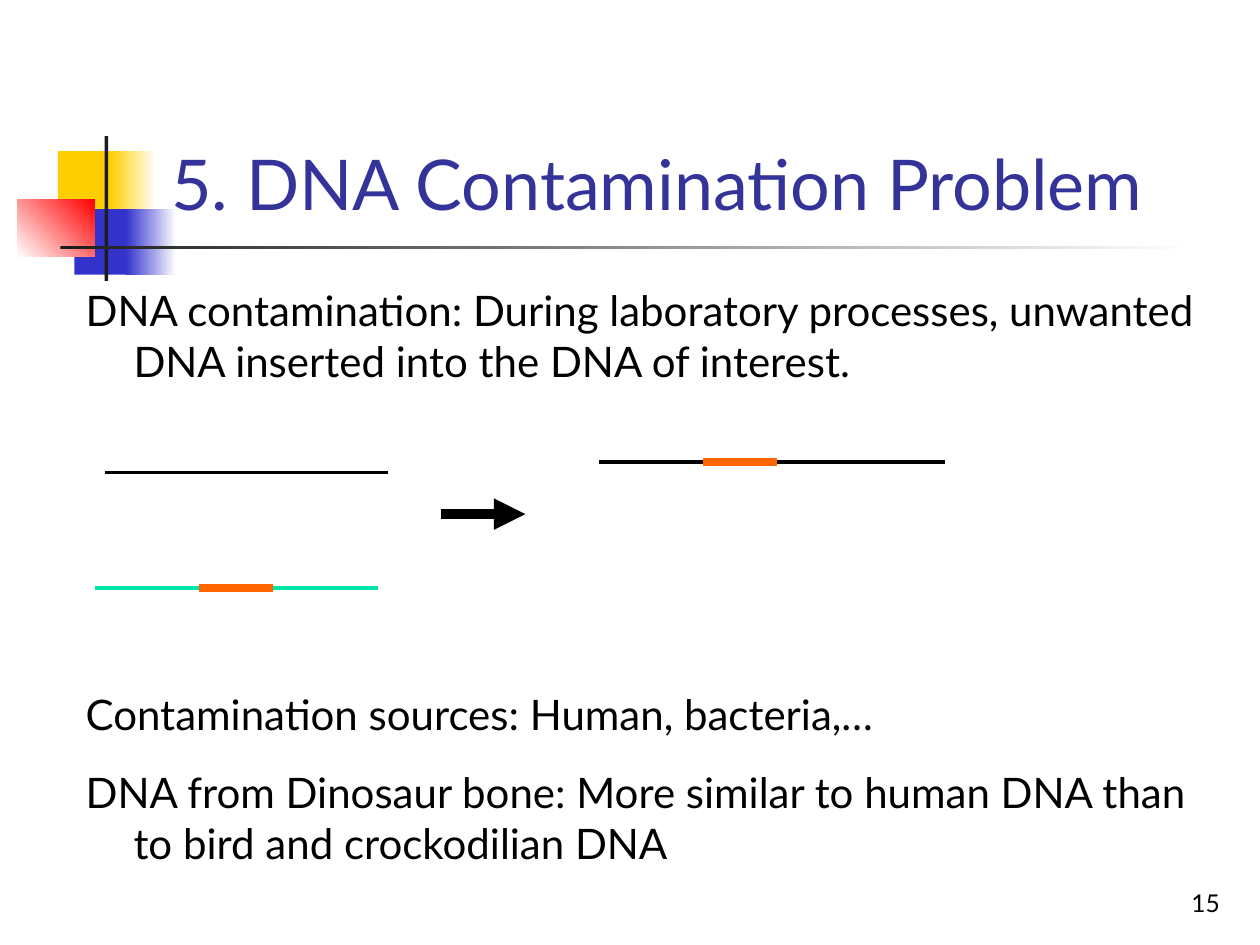
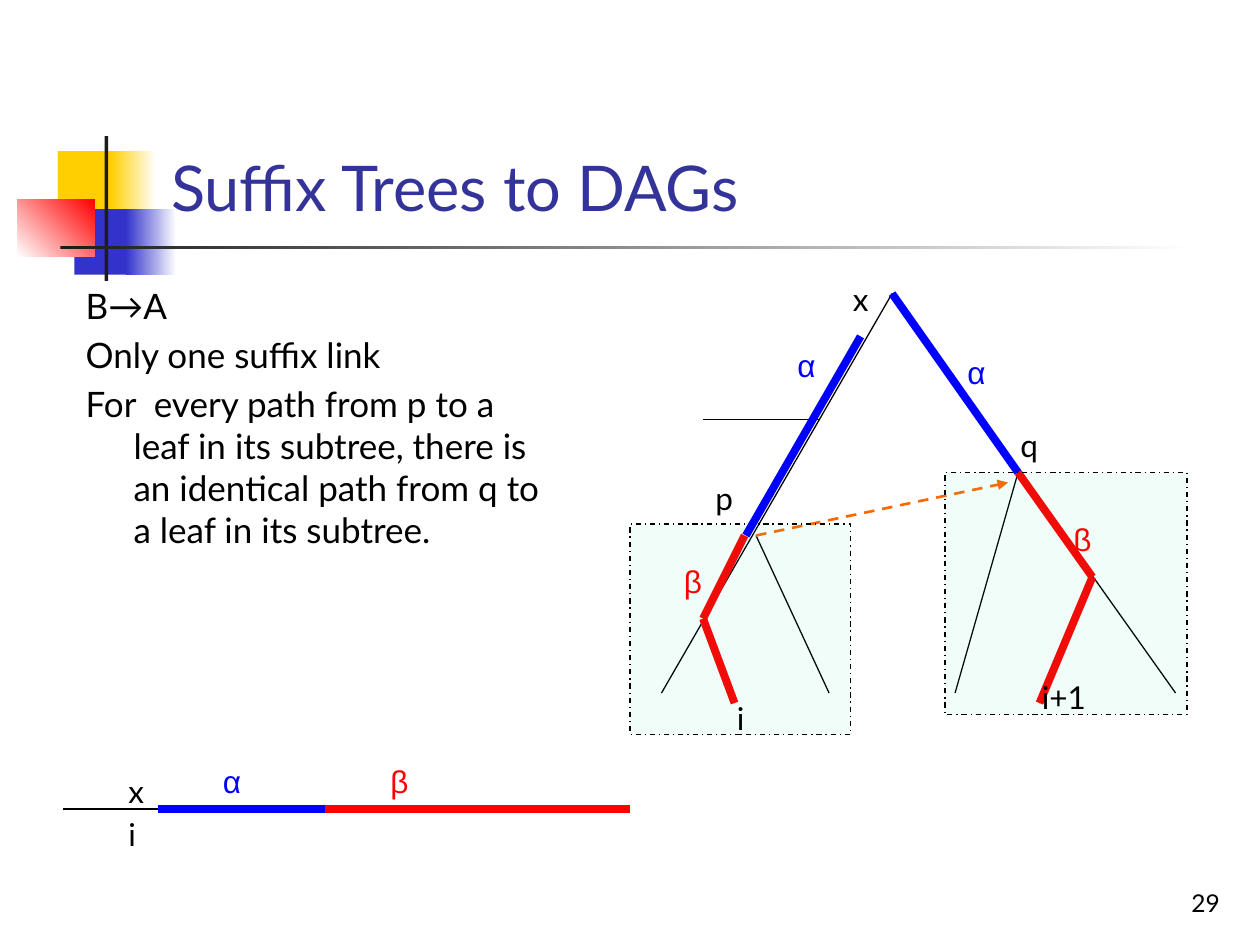
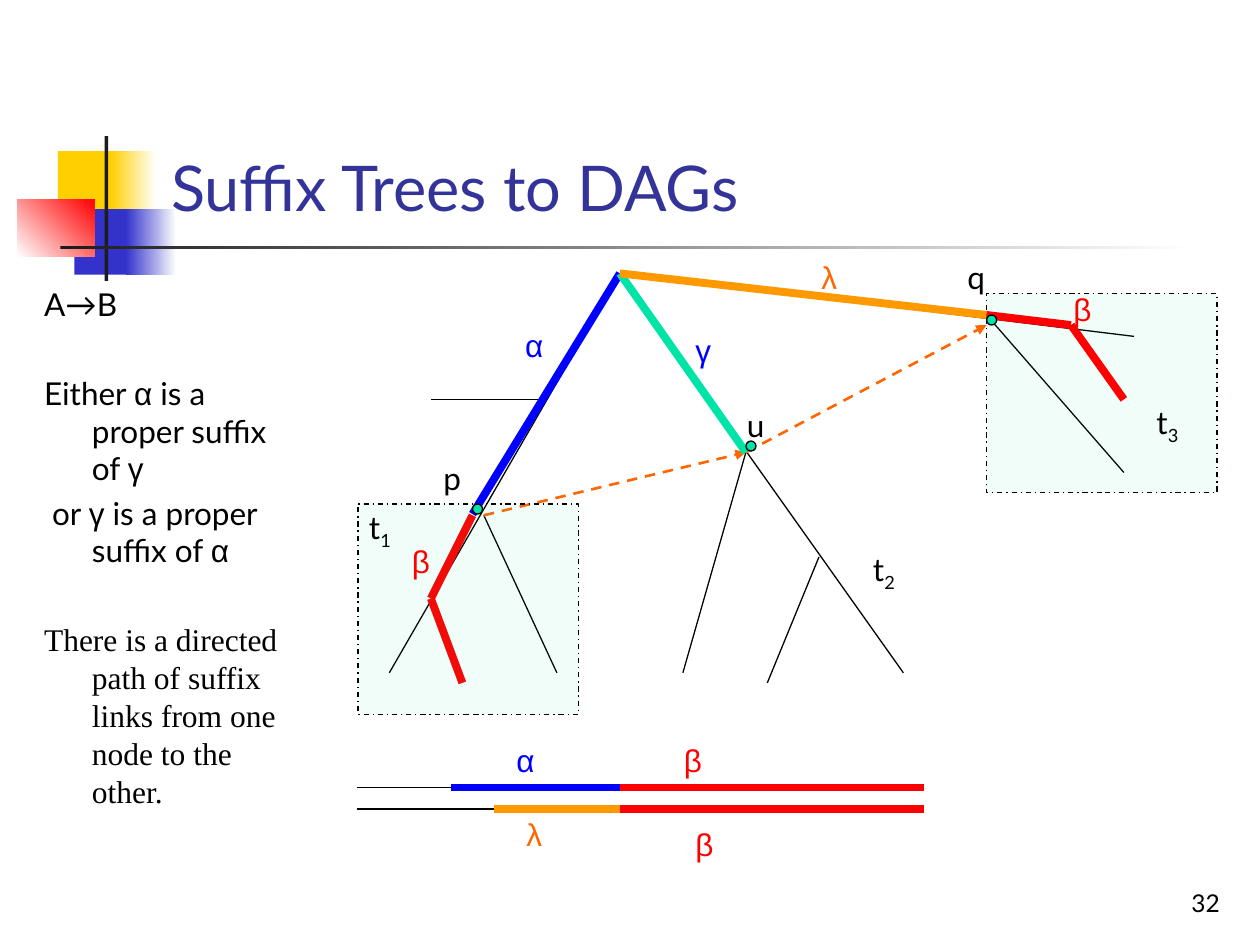
"""Build three slides about DNA contamination and suffix trees."""
from itertools import groupby

from lxml import etree
from pptx import Presentation
from pptx.dml.color import RGBColor
from pptx.enum.dml import MSO_LINE
from pptx.enum.shapes import MSO_CONNECTOR, MSO_SHAPE
from pptx.enum.text import MSO_ANCHOR, MSO_AUTO_SIZE, PP_ALIGN
from pptx.oxml.ns import qn
from pptx.util import Inches, Pt

RECTANGLE, OVAL = MSO_SHAPE.RECTANGLE, MSO_SHAPE.OVAL
STRAIGHT = MSO_CONNECTOR.STRAIGHT
DASH, DASH_DOT = MSO_LINE.DASH, MSO_LINE.DASH_DOT
LEFT, RIGHT = PP_ALIGN.LEFT, PP_ALIGN.RIGHT
TOP, BOTTOM = MSO_ANCHOR.TOP, MSO_ANCHOR.BOTTOM
FIXED, GROW = MSO_AUTO_SIZE.NONE, MSO_AUTO_SIZE.SHAPE_TO_FIT_TEXT

BLACK, WHITE, INK = "000000", "FFFFFF", "1C1C1C"
TITLE_BLUE, BLUE, RED = "333399", "0000FF", "FF0000"
MINT, ORANGE, AMBER = "00E4A8", "FF6600", "FF9900"
YELLOW, INDIGO = "FFCF01", "3333CC"
FONT, GREEK_FONT, SERIF = "Lato", "Arial", "Times New Roman"
THIN, MEDIUM, BOLD = 0.75, 2.25, 4.5
LABEL_WIDTHS = {"α": 0.36, "γ": 0.3, "x": 0.32, "i": 0.26, "i+1": 0.58}

MASTER_BANDS = [
    ((0.46, 1.2, 0.48, 0.52), YELLOW, None, 0),
    ((0.88, 1.2, 0.36, 0.52), YELLOW, WHITE, 0),
    ((0.59, 1.66, 0.46, 0.52), INDIGO, None, 0),
    ((1, 1.66, 0.4, 0.52), INDIGO, WHITE, 0),
    ((0.14, 1.58, 0.61, 0.46), WHITE, RED, 45),
    ((0.83, 1.08, 0.03, 1.15), INK, None, 0),
    ((0.48, 1.95, 9, 0.03), INK, WHITE, 0),
]

PAGES = [
    {"number": "15", "title": "5. DNA Contamination Problem", "title_size": 40,
     "body_box": (0.58, 2.21, 9.21, 4.5), "size": 24,
     "body": [
         ("DNA contamination: During laboratory processes, unwanted DNA "
          "inserted into the DNA of interest.", FONT, 4.8),
         ("Contamination sources: Human, bacteria,…", FONT, 173),
         ("DNA from Dinosaur bone: More similar to human DNA than to bird "
          "and crockodilian DNA", FONT, 16)]},
    {"number": "29", "title": "Suffix Trees to DAGs", "title_size": 36,
     "body_box": (0.58, 2.21, 3.83, 4.5), "size": 20,
     "body": [
         ("B→A", FONT, 4),
         ("Only one suffix link", FONT, 4),
         ("For  every path from p to a leaf in its subtree, there is an "
          "identical path from q to a leaf in its subtree.", FONT, 4)]},
    {"number": "32", "title": "Suffix Trees to DAGs", "title_size": 36,
     "body_box": (0.25, 2.21, 2.17, 4.5), "size": 18,
     "body": [
         ("A→B", FONT, 3.6),
         ("Either α is a proper suffix of γ", FONT, 29.3),
         (" or γ is a proper suffix of α", FONT, 3.6),
         ("There is a directed path of suffix links from one node to the "
          "other.", SERIF, 29.3)]},
]

DNA_STRANDS = [
    ((0.83, 3.75), (3.08, 3.75), BLACK, MEDIUM),
    ((0.75, 4.67), (3, 4.67), MINT, MEDIUM),
    ((1.58, 4.67), (2.17, 4.67), ORANGE, BOLD),
    ((4.75, 3.67), (7.5, 3.67), BLACK, MEDIUM),
    ((5.58, 3.67), (6.17, 3.67), ORANGE, BOLD),
]

# Tree parts are measured from the root of the tree.
TREE_EDGES = [
    ((0, 0), (-1.83, 3.17)), ((0, 0), (2.25, 3.17)),
    ((-0.58, 1), (-1.5, 1)), ((-1.08, 1.92), (-0.5, 3.17)),
    ((1, 1.42), (0.5, 3.17)), ((1.58, 2.25), (1.17, 3.25)),
]
LEFT_BETA = [(-1.17, 1.92), (-1.5, 2.58), (-1.25, 3.25)]
TREE_LABELS = [("p", -1.5, 1.42, BLACK), ("α", -0.85, 0.37, BLUE),
               ("β", -1.75, 2.08, RED)]
LEFT_SUBTREE = (-2.08, 1.83, 1.75, 1.67)
P_NODE, MIDDLE_NODE = (-1.08, 1.92), (1, 1.42)

ROOT_B, ROOT_A = (7.08, 2.33), (4.92, 2.17)
LABELS_B = [
    ("q", 8, 3.33, BLACK), ("x", 6.67, 2.17, BLACK), ("α", 7.58, 2.75, BLUE),
    ("β", 8.42, 4.08, RED), ("i", 5.75, 5.5, BLACK), ("i+1", 8.17, 5.33, BLACK),
    ("x", 0.92, 6.08, BLACK), ("α", 1.67, 6, BLUE), ("β", 3, 6, RED),
    ("i", 0.92, 6.42, BLACK),
]
LABELS_A = [
    ("q", 7.58, 2, BLACK), ("γ", 5.42, 2.58, BLUE), ("t_1", 2.83, 3.98, BLACK),
    ("u", 5.83, 3.17, BLACK), ("t_2", 6.83, 4.32, BLACK),
    ("t_3", 9.08, 3.15, BLACK), ("λ", 6.42, 2, ORANGE), ("β", 8.42, 2.25, RED),
    ("α", 4, 5.83, BLUE), ("β", 5.33, 5.83, RED), ("λ", 4.08, 6.42, ORANGE),
    ("β", 5.42, 6.5, RED),
]
Q_EDGES = [(ROOT_A, (9, 2.67)), ((7.83, 2.5), (8.92, 3.75))]
Q_BETA = [(7.83, 2.5), (8.5, 2.58), (8.92, 3.17)]
NODES_A = [(3.75, 4), (7.83, 2.5), (5.92, 3.5)]


def rgb(value):
    return RGBColor.from_string(value)


def shift(point, origin):
    return tuple(round(a + b, 2) for a, b in zip(point, origin))


def add_block(slide, kind, box, color, line=False):
    shape = slide.shapes.add_shape(kind, *map(Inches, box))
    shape.shadow.inherit = False
    shape.fill.solid()
    shape.fill.fore_color.rgb = rgb(color)
    if line:
        shape.line.color.rgb = rgb(BLACK)
        shape.line.width = Pt(THIN)
    else:
        shape.line.fill.background()
    return shape


def add_subtree(slide, box):
    shape = add_block(slide, RECTANGLE, box, MINT, line=True)
    shape.line.dash_style = DASH_DOT
    color = shape.element.spPr.find(qn("a:solidFill")).find(qn("a:srgbClr"))
    etree.SubElement(color, qn("a:alpha"), val="6000")


def add_line(slide, start, end, color=BLACK, width=THIN, dash=None, arrow=False):
    line = slide.shapes.add_connector(STRAIGHT, *map(Inches, (*start, *end)))
    line.line.color.rgb = rgb(color)
    line.line.width = Pt(width)
    if dash:
        line.line.dash_style = dash
    properties = line.element.spPr
    if arrow:
        etree.SubElement(properties.find(qn("a:ln")), qn("a:tailEnd"), type="triangle")
    etree.SubElement(properties, qn("a:effectLst"))


def add_chain(slide, points, color):
    for start, end in zip(points, points[1:]):
        add_line(slide, start, end, color, BOLD)


def add_suffix_link(slide, start, end):
    add_line(slide, start, end, ORANGE, 1.5, DASH, True)


def add_strip(slide, y, left, start, middle, right, color):
    add_line(slide, (left, y), (right, y))
    add_line(slide, (start, y), (middle, y), color, BOLD)
    add_line(slide, (middle, y), (right, y), RED, BOLD)


def is_greek(character):
    return "α" <= character <= "ω"


def write(paragraph, text, size, color=BLACK, font=FONT):
    paragraph.font.size = Pt(size)
    paragraph.font.name = font
    paragraph.font.color.rgb = rgb(color)
    for greek, characters in groupby(text, is_greek):
        run = paragraph.add_run()
        run.text = "".join(characters)
        run.font.size = Pt(size)
        run.font.name = GREEK_FONT if greek else font
        run.font.color.rgb = rgb(color)


def add_label(slide, text, x, y, color):
    base, _, subscript = text.partition("_")
    width = 0.51 if subscript else LABEL_WIDTHS.get(text, 0.34)
    frame = slide.shapes.add_textbox(*map(Inches, (x, y, width, 0.4))).text_frame
    frame.word_wrap = False
    frame.auto_size = GROW
    paragraph = frame.paragraphs[0]
    write(paragraph, base, 18, color)
    if subscript:
        write(paragraph, subscript, 18, color)
        paragraph.runs[-1].font._element.set("baseline", "-25000")


def place(shape, box, anchor):
    shape.left, shape.top, shape.width, shape.height = map(Inches, box)
    frame = shape.text_frame
    frame.word_wrap = True
    frame.auto_size = FIXED
    frame.vertical_anchor = anchor
    return frame


def add_page(presentation, page):
    slide = presentation.slides.add_slide(presentation.slide_layouts[1])
    number = slide.shapes.add_textbox(0, 0, 0, 0)
    paragraph = place(number, (7.7, 6.83, 2.08, 0.5), BOTTOM).paragraphs[0]
    paragraph.alignment = RIGHT
    write(paragraph, page["number"], 14)
    title = place(slide.shapes.title, (1.26, 0.23, 8.52, 1.6), BOTTOM).paragraphs[0]
    title.alignment = LEFT
    write(title, page["title"], page["title_size"], TITLE_BLUE)
    frame = place(slide.placeholders[1], page["body_box"], TOP)
    for index, (text, font, gap) in enumerate(page["body"]):
        paragraph = frame.add_paragraph() if index else frame.paragraphs[0]
        paragraph.space_before = Pt(gap)
        write(paragraph, text, page["size"], font=font)
        properties = paragraph._p.get_or_add_pPr()
        properties.set("marL", str(Inches(0.38)))
        properties.set("indent", str(-Inches(0.38)))
        bullet = etree.Element(qn("a:buNone"))
        properties.find(qn("a:spcBef")).addnext(bullet)
    return slide


def add_master_bands(presentation, slide):
    for box, color, end_color, angle in MASTER_BANDS:
        shape = add_block(slide, RECTANGLE, box, color)
        if end_color:
            shape.fill.gradient()
            shape.fill.gradient_angle = angle
            for stop, value in zip(shape.fill.gradient_stops, (color, end_color)):
                stop.color.rgb = rgb(value)
        presentation.slide_master.shapes.element.append(shape.element)


def add_tree(slide, root, link_end):
    for start, end in TREE_EDGES:
        add_line(slide, shift(start, root), shift(end, root))
    add_suffix_link(slide, shift(P_NODE, root), link_end)
    add_chain(slide, [shift(point, root) for point in LEFT_BETA], RED)
    add_subtree(slide, (*shift(LEFT_SUBTREE[:2], root), *LEFT_SUBTREE[2:]))
    for text, x, y, color in TREE_LABELS:
        add_label(slide, text, *shift((x, y), root), color)


def draw_contamination(slide):
    for strand in DNA_STRANDS:
        add_line(slide, *strand)
    add_line(slide, (3.5, 4.08), (4.17, 4.08), width=6, arrow=True)


def draw_single_link(slide):
    add_tree(slide, ROOT_B, (8, 3.83))
    middle = shift(MIDDLE_NODE, ROOT_B)
    add_chain(slide, [(6.83, 2.67), (5.92, 4.25)], BLUE)
    add_chain(slide, [ROOT_B, middle], BLUE)
    add_chain(slide, [middle, (8.67, 4.58), (8.25, 5.58)], RED)
    add_subtree(slide, (7.5, 3.75, 1.92, 1.92))
    add_strip(slide, 6.42, 0.5, 1.25, 2.58, 5, BLUE)
    for label in LABELS_B:
        add_label(slide, *label)


def draw_link_path(slide):
    middle = shift(MIDDLE_NODE, ROOT_A)
    add_tree(slide, ROOT_A, middle)
    for start, end in Q_EDGES:
        add_line(slide, start, end)
    add_suffix_link(slide, middle, (7.83, 2.58))
    add_chain(slide, [ROOT_A, (3.75, 4.08)], BLUE)
    add_chain(slide, [ROOT_A, middle], MINT)
    add_subtree(slide, (7.83, 2.33, 1.83, 1.58))
    add_chain(slide, [ROOT_A, Q_BETA[0]], AMBER)
    add_chain(slide, Q_BETA, RED)
    for node in NODES_A:
        add_block(slide, OVAL, (*node, 0.08, 0.08), MINT, line=True)
    add_strip(slide, 6.25, 2.83, 3.58, 4.92, 7.33, BLUE)
    add_strip(slide, 6.42, 2.83, 3.92, 4.92, 7.33, AMBER)
    for label in LABELS_A:
        add_label(slide, *label)


presentation = Presentation()
presentation.slide_width, presentation.slide_height = Inches(10), Inches(7.5)
drawings = [draw_contamination, draw_single_link, draw_link_path]
for page, draw in zip(PAGES, drawings):
    draw(add_page(presentation, page))
add_master_bands(presentation, presentation.slides[0])
presentation.save("out.pptx")
